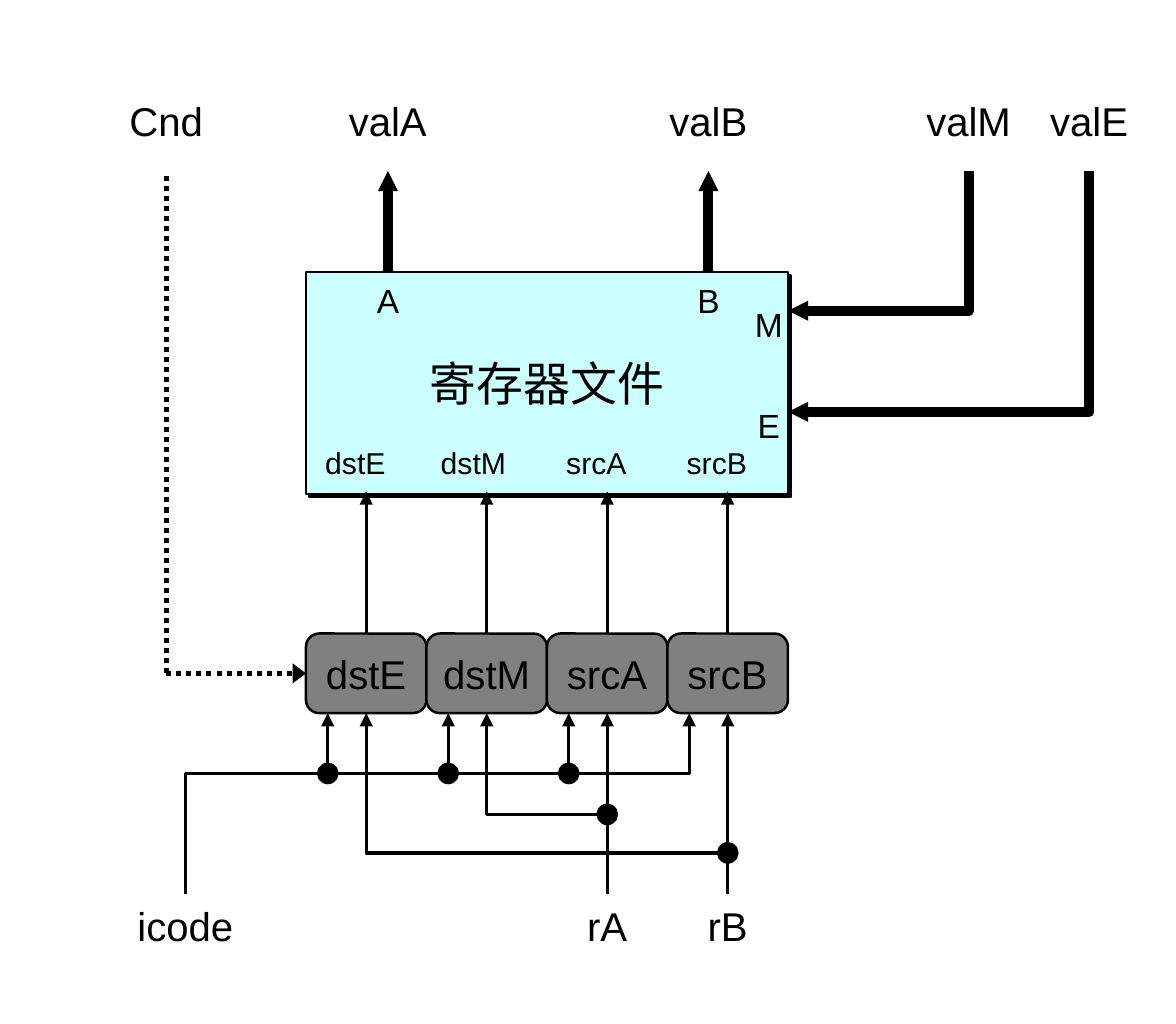
from dataclasses import dataclass

from lxml import etree
from pptx import Presentation
from pptx import util as u
from pptx.dml.color import RGBColor
from pptx.enum import dml, shapes, text
from pptx.oxml.ns import qn


@dataclass(frozen=True)
class Theme:
    font: str = "Arial"
    ink: RGBColor = RGBColor(0, 0, 0)
    file: RGBColor = RGBColor(0xCC, 0xFF, 0xFF)
    block: RGBColor = RGBColor(0x80, 0x80, 0x80)
    head: float = 14
    label: float = 12
    port: float = 10
    small: float = 9
    edge: float = 0.75
    wire: float = 1
    dots: float = 1.5
    bus: float = 3


THEME = Theme()
NAMES = ["dstE", "dstM", "srcA", "srcB"]

# Grid of the drawing, in inches
LEFT, STEP = 1.27, 0.5
RIGHT = LEFT + STEP * len(NAMES)
FILE_TOP, FILE_TALL = 1.13, 0.92
BLOCK_TOP, BLOCK_TALL = 2.63, 0.33
BLOCK_END = BLOCK_TOP + BLOCK_TALL
PORT_Y, TOP_Y, LOW_Y = 2.04, 0.71, 3.71
CODE_Y, RA_Y, RB_Y = 3.21, 3.38, 3.54
MIDS = [LEFT + STEP * (i + 0.5) for i in range(len(NAMES))]
TAPS = [mid - 0.16 for mid in MIDS]


def inch(*sizes):
    return [u.Inches(size) for size in sizes]


def write(shape, words, size, align=text.PP_ALIGN.CENTER, inset=0):
    frame = shape.text_frame
    look = dict(word_wrap=False, vertical_anchor=text.MSO_ANCHOR.MIDDLE,
                margin_left=0, margin_right=u.Inches(inset),
                margin_top=0, margin_bottom=0)
    for key, value in look.items():
        setattr(frame, key, value)
    para = frame.paragraphs[0]
    para.text, para.alignment = words, align
    for key, value in dict(name=THEME.font, size=u.Pt(size)).items():
        setattr(para.font, key, value)
    para.font.color.rgb = THEME.ink


def label(slide, words, mid, top, size=THEME.label, wide=0.5, tall=0.42, **form):
    box = slide.shapes.add_textbox(*inch(mid - wide / 2, top, wide, tall))
    write(box, words, size, **form)


def stroke(shape, width, head=None, dash=None):
    for key, value in dict(width=u.Pt(width), dash_style=dash).items():
        setattr(shape.line, key, value)
    shape.line.color.rgb = THEME.ink
    if head:
        line = shape.element.spPr.find(qn("a:ln"))
        etree.SubElement(line, qn("a:tailEnd"), type="triangle", w=head, len="sm")


def solid(slide, kind, place, color):
    shape = slide.shapes.add_shape(kind, *inch(*place))
    shape.shadow.inherit = False
    shape.fill.solid()
    shape.fill.fore_color.rgb = color
    stroke(shape, THEME.edge)
    return shape


def wire(slide, start, end, width=THEME.wire, head="sm", dash=None):
    line = slide.shapes.add_connector(
        shapes.MSO_CONNECTOR.STRAIGHT, *inch(*start, *end))
    stroke(line, width, head, dash)
    etree.SubElement(line.element.spPr, qn("a:effectLst"))
    return line


def bend(slide, points, width=THEME.wire):
    spots = [inch(*point) for point in points]
    pen = slide.shapes.build_freeform(*spots[0])
    pen.add_line_segments(spots[1:], close=False)
    shape = pen.convert_to_shape()
    shape.shadow.inherit = False
    shape.fill.background()
    stroke(shape, width, "sm")


def dot(slide, x, y, size=0.08):
    solid(slide, shapes.MSO_SHAPE.OVAL,
          (x - size / 2, y - size / 2, size, size), THEME.ink)


def bank(slide):
    # Register file with its hard shadow
    box = solid(slide, shapes.MSO_SHAPE.RECTANGLE,
                (LEFT, FILE_TOP, RIGHT - LEFT, FILE_TALL), THEME.file)
    write(box, "寄存器文件", THEME.head)
    glow = box.element.spPr.find(qn("a:effectLst"))
    cast = etree.SubElement(glow, qn("a:outerShdw"), dist=str(u.Pt(1.4)),
                            dir="2700000", algn="ctr", rotWithShape="0")
    etree.SubElement(cast, qn("a:srgbClr"), val=str(THEME.ink))

    # Ports
    for name, x, y in [("A", 1.61, 1.11), ("B", 2.94, 1.11),
                       ("M", 3.19, 1.21), ("E", 3.19, 1.63)]:
        label(slide, name, x, y, THEME.port, 0.33, 0.27)
    for name, mid in zip(NAMES, MIDS):
        label(slide, name, mid, 1.71, THEME.small,
              align=text.PP_ALIGN.RIGHT, inset=0.17)


def buses(slide):
    # Values read out, then values written back
    for name, x in [("valA", 1.61), ("valB", 2.94)]:
        wire(slide, (x, FILE_TOP), (x, TOP_Y), THEME.bus)
        label(slide, name, x, 0.29)
    for name, x, y in [("valM", 4.02, 1.29), ("valE", 4.52, 1.71)]:
        bend(slide, [(x, TOP_Y), (x, y), (RIGHT, y)], THEME.bus)
        label(slide, name, x, 0.29)


def logic(slide):
    # Selector blocks, each feeding its port
    blocks = []
    for name, mid in zip(NAMES, MIDS):
        block = solid(slide, shapes.MSO_SHAPE.ROUNDED_RECTANGLE,
                      (mid - STEP / 2, BLOCK_TOP, STEP, BLOCK_TALL), THEME.block)
        write(block, name, THEME.label)
        wire(slide, (mid, BLOCK_TOP), (mid, PORT_Y)).begin_connect(block, 0)
        blocks.append(block)
    return blocks


def inputs(slide, blocks):
    # Register numbers: each rises to its source and branches to a target
    for name, src, dst, y in [("rA", 2, 1, RA_Y), ("rB", 3, 0, RB_Y)]:
        x, goal = MIDS[src], MIDS[dst]
        wire(slide, (x, LOW_Y), (x, BLOCK_END)).end_connect(blocks[src], 2)
        bend(slide, [(x, y), (goal, y), (goal, BLOCK_END)])
        dot(slide, x, y)
        label(slide, name, x, 3.63)

    # Instruction code taps every block
    code, last = 0.77, TAPS[-1]
    bend(slide, [(code, LOW_Y), (code, CODE_Y), (last, CODE_Y), (last, BLOCK_END)])
    for x in TAPS[:-1]:
        wire(slide, (x, CODE_Y), (x, BLOCK_END))
        dot(slide, x, CODE_Y)
    label(slide, "icode", code, 3.63)

    # Dotted condition signal
    cond, y = 0.69, BLOCK_TOP + BLOCK_TALL / 2
    form = dict(width=THEME.dots, dash=dml.MSO_LINE.ROUND_DOT)
    wire(slide, (cond, y), (LEFT, y), head="med", **form).end_connect(blocks[0], 1)
    wire(slide, (cond, y), (cond, TOP_Y), head=None, **form)
    label(slide, "Cnd", cond, 0.29)


def main():
    deck = Presentation()
    deck.slide_width, deck.slide_height = inch(4.88, 4.25)
    slide = deck.slides.add_slide(deck.slide_layouts[6])
    bank(slide)
    buses(slide)
    inputs(slide, logic(slide))
    deck.save("out.pptx")


if __name__ == "__main__":
    main()
